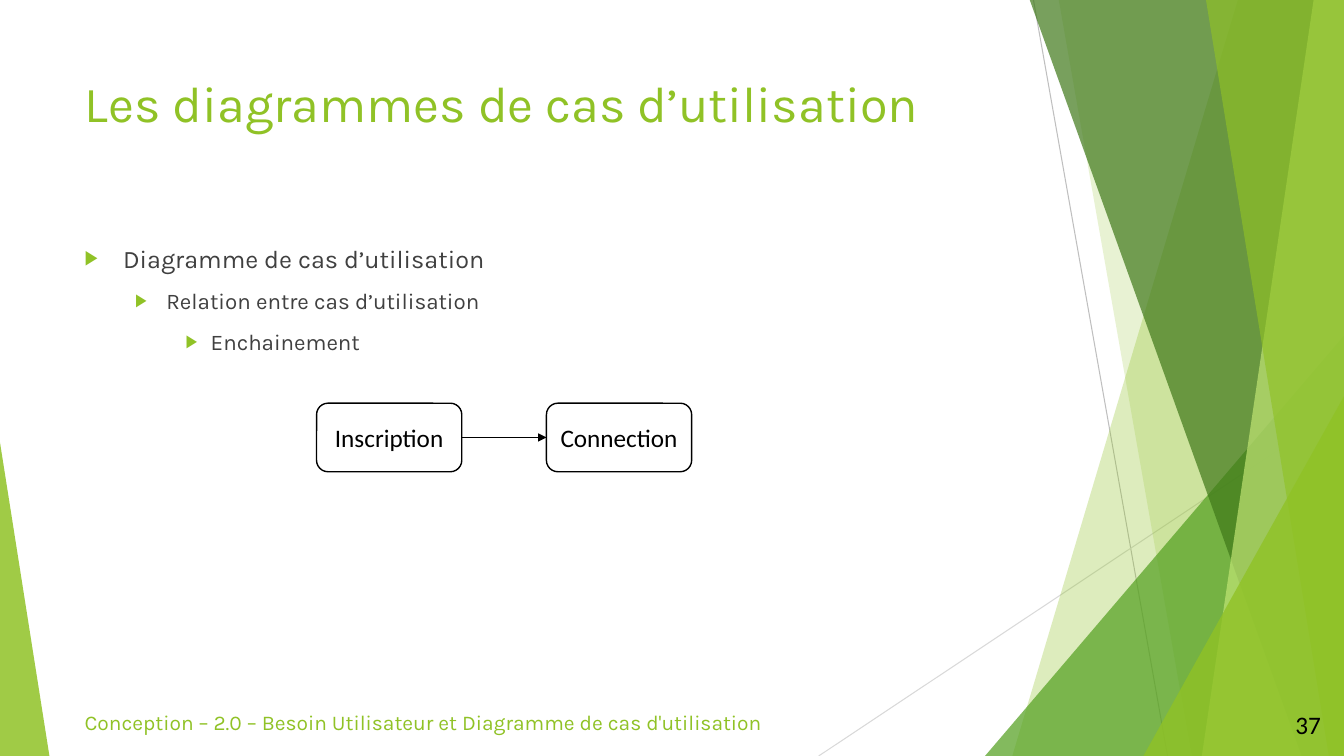
import pptx
import pptx.util
import pptx.dml.color
import pptx.enum.shapes
import pptx.enum.text
import pptx.oxml
import pptx.oxml.ns
import lxml.etree

PX = 9144
THEME = {
    "lime": "90C226", "leaf": "54A021", "moss": "3F7819", "pale": "C0E474",
    "text": "404040", "ink": "000000", "paper": "FFFFFF",
    "gray": "BFBFBF", "mist": "D9D9D9",
    "font": "Karla", "plain": "Calibri",
    "title": 36, "large": 18, "small": 16, "foot": 15,
}
ALIGN = pptx.enum.text.PP_ALIGN
ANCHOR = pptx.enum.text.MSO_ANCHOR
qn = pptx.oxml.ns.qn


def paint(color, name):
    color.rgb = pptx.dml.color.RGBColor.from_string(THEME[name])


def style(para, size, font, color, align=ALIGN.LEFT):
    para.alignment = align
    para.font.size = pptx.util.Pt(THEME[size])
    para.font.name = THEME[font]
    paint(para.font.color, color)


deck = pptx.Presentation()
deck.slide_width = 1333 * PX
deck.slide_height = 750 * PX
slide = deck.slides.add_slide(deck.slide_layouts[1])
shapes = slide.shapes

rays = [
    (1025, 0, 1158, 750, "gray", 0.75, False),
    (1333, 403, 812, 750, "mist", 0.75, False),
]
facets = [
    ([(1228, -1), (1333, -1), (1333, 750), (1004, 750)], "lime", 30),
    ([(1050, -1), (1333, -1), (1333, 750), (1182, 750)], "lime", 20),
    ([(977, 750), (1333, 333), (1333, 750)], "leaf", 72),
    ([(1021, -1), (1333, -1), (1333, 750), (1291, 750)], "moss", 70),
    ([(1303, -1), (1333, -1), (1333, 750), (1192, 750)], "pale", 70),
    ([(1196, -1), (1333, -1), (1333, 750), (1318, 750)], "lime", 65),
    ([(1134, 750), (1333, 393), (1333, 750)], "lime", 80),
    ([(0, 750), (0, 439), (49, 750)], "lime", 85),
]
links = rays + [(457, 434, 542, 434, "ink", 0.5, True)]
for left, top, right, low, color, width, arrow in links:
    link = shapes.add_connector(
        pptx.enum.shapes.MSO_CONNECTOR.STRAIGHT,
        left * PX, top * PX, right * PX, low * PX)
    paint(link.line.color, color)
    link.line.width = pptx.util.Pt(width)
    if arrow:
        tail = lxml.etree.SubElement(link.line._get_or_add_ln(), qn("a:tailEnd"))
        tail.set("type", "triangle")
    lxml.etree.SubElement(link._element.spPr, qn("a:effectLst"))

for points, color, alpha in facets:
    pen = shapes.build_freeform(*points[0], scale=PX)
    pen.add_line_segments(points[1:], close=True)
    facet = pen.convert_to_shape()
    facet.shadow.inherit = False
    facet.fill.solid()
    paint(facet.fill.fore_color, color)
    facet.line.fill.background()
    tint = facet._element.spPr.find(".//" + qn("a:srgbClr"))
    lxml.etree.SubElement(tint, qn("a:alpha")).set("val", str(alpha * 1000))

title = shapes.title
body = slide.placeholders[1]
for holder, top, height in [(title, 67, 144), (body, 236, 139)]:
    holder.left, holder.top = 74 * PX, top * PX
    holder.width, holder.height = 940 * PX, height * PX
    holder.text_frame.word_wrap = True
    holder.text_frame.auto_size = pptx.enum.text.MSO_AUTO_SIZE.NONE
    holder.text_frame.vertical_anchor = ANCHOR.TOP

title.text_frame.text = "Les diagrammes de cas d’utilisation"
style(title.text_frame.paragraphs[0], "title", "font", "lime")

items = [
    ("Diagramme de cas d’utilisation", "large", 38, 38),
    ("Relation entre cas d’utilisation", "small", 81, 31),
    ("Enchainement", "small", 125, 25),
]
body.text_frame.text = "\n".join(item[0] for item in items)
for level, (para, item) in enumerate(zip(body.text_frame.paragraphs, items)):
    words, size, margin, hang = item
    para.level = level
    para.space_before = pptx.util.Pt(10)
    props = para._p.get_or_add_pPr()
    props.set("marL", str(margin * PX))
    props.set("indent", str(-hang * PX))
    tint = lxml.etree.SubElement(props, qn("a:buClr"))
    lxml.etree.SubElement(tint, qn("a:srgbClr")).set("val", THEME["lime"])
    lxml.etree.SubElement(props, qn("a:buSzPct")).set("val", "80000")
    lxml.etree.SubElement(props, qn("a:buChar")).set("char", "▶")
    style(para, size, "font", "text")

notes = [
    ("Conception – 2.0 – Besoin Utilisateur et Diagramme de cas d'utilisation",
     74, 732, "foot", "font", "lime", ALIGN.LEFT, ANCHOR.TOP),
    ("37", 1245, 75, "large", "plain", "ink", ALIGN.RIGHT, ANCHOR.MIDDLE),
]
for words, left, width, size, font, color, align, anchor in notes:
    box = shapes.add_textbox(left * PX, 699 * PX, width * PX, 40 * PX)
    box.text_frame.word_wrap = True
    box.text_frame.vertical_anchor = anchor
    box.text_frame.text = words
    style(box.text_frame.paragraphs[0], size, font, color, align)

for step, words in enumerate(["Inscription", "Connection"]):
    case = shapes.add_shape(
        pptx.enum.shapes.MSO_SHAPE.ROUNDED_RECTANGLE,
        (314 + 228 * step) * PX, 400 * PX, 144 * PX, 68 * PX)
    case.shadow.inherit = False
    case.fill.solid()
    paint(case.fill.fore_color, "paper")
    paint(case.line.color, "ink")
    case.line.width = pptx.util.Pt(1)
    case.text_frame.word_wrap = False
    case.text_frame.vertical_anchor = ANCHOR.MIDDLE
    case.text_frame.text = words
    style(case.text_frame.paragraphs[0], "large", "plain", "ink", ALIGN.CENTER)

deck.save("out.pptx")
